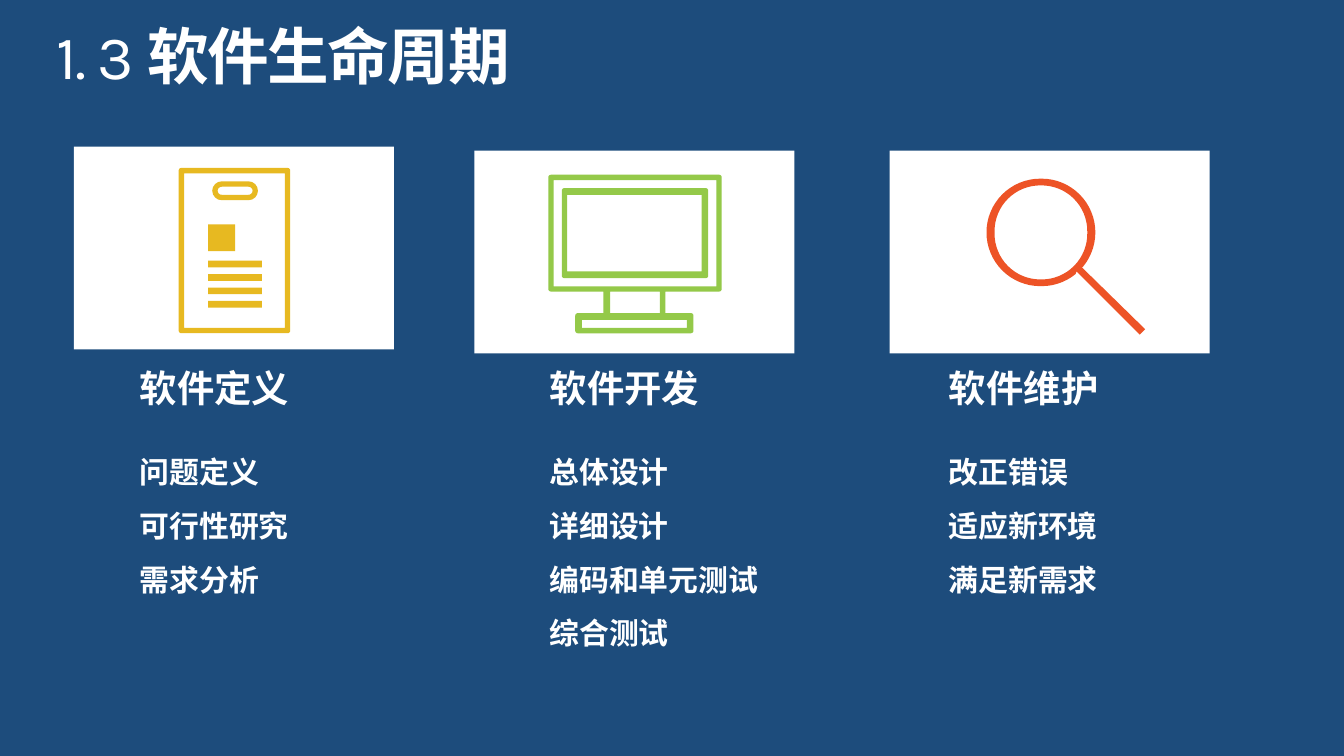
from dataclasses import dataclass
from math import cos, pi, sin

from lxml.etree import SubElement
from pptx import Presentation
from pptx.dml.color import RGBColor
from pptx.enum.shapes import MSO_SHAPE
from pptx.enum.text import MSO_ANCHOR
from pptx.oxml.ns import qn
from pptx.util import Inches, Pt

Contour = list[tuple[float, float]]


@dataclass(frozen=True)
class Theme:
    background: str = "1D4C7C"
    white: str = "FFFFFF"
    yellow: str = "E7B921"
    green: str = "94C949"
    red: str = "ED5326"
    latin: str = "Karla"
    chinese: str = "Noto Sans CJK SC"
    title_size: int = 33
    heading_size: int = 20
    item_size: int = 16


@dataclass(frozen=True)
class Phase:
    heading: str
    items: list[str]
    text_left: float
    text_height: float
    card_left: float
    card_top: float
    color: str
    icon: list[Contour]


THEME = Theme()


# Icon outlines: nested contours cut holes
def rounded(left: float, top: float, right: float, bottom: float,
            radius: float = 0, steps: int = 4) -> Contour:
    """Corners of a box, each one an arc when there is a radius."""
    if not radius:
        return [(left, top), (right, top), (right, bottom), (left, bottom)]
    centers = [(right - radius, bottom - radius), (left + radius, bottom - radius),
               (left + radius, top + radius), (right - radius, top + radius)]
    return [(x + radius * cos(angle), y + radius * sin(angle))
            for corner, (x, y) in enumerate(centers)
            for angle in ((corner + step / steps) * pi / 2 for step in range(steps + 1))]


BADGE = [
    rounded(1.33, 1.25, 2.16, 2.48, 0.02), rounded(1.37, 1.29, 2.12, 2.44),
    rounded(1.58, 1.35, 1.92, 1.49, 0.07), rounded(1.62, 1.39, 1.88, 1.45, 0.03),
    rounded(1.55, 1.67, 1.75, 1.87),
    *[rounded(1.55, 1.94 + 0.1 * row, 1.95, 1.99 + 0.1 * row) for row in range(4)],
]
MONITOR = [
    rounded(4.08, 1.3, 5.37, 2.17, 0.02), rounded(4.12, 1.34, 5.33, 2.13),
    rounded(4.18, 1.4, 5.27, 2.07, 0.02), rounded(4.22, 1.45, 5.22, 2.02),
    rounded(4.49, 2.17, 4.54, 2.33), rounded(4.91, 2.17, 4.95, 2.33),
    rounded(4.28, 2.33, 5.16, 2.48, 0.02), rounded(4.33, 2.38, 5.11, 2.44),
]
# The handle takes the place of the rim's lower right point
RIM = rounded(7.34, 1.33, 8.15, 2.13, 0.4, 16)
HANDLE = [(8.05, 1.99), (8.52, 2.45), (8.48, 2.49), (8.01, 2.02)]
MAGNIFIER = [RIM[:8] + HANDLE + RIM[9:], rounded(7.4, 1.38, 8.09, 2.08, 0.34, 16)]

PHASES = [
    Phase("软件定义", ["问题定义", "可行性研究", "需求分析"],
          0.97, 1.68, 0.55, 1.09, THEME.yellow, BADGE),
    Phase("软件开发", ["总体设计", "详细设计", "编码和单元测试", "综合测试"],
          4.02, 2.08, 3.53, 1.12, THEME.green, MONITOR),
    Phase("软件维护", ["改正错误", "适应新环境", "满足新需求"],
          6.99, 1.68, 6.62, 1.12, THEME.red, MAGNIFIER),
]


def add_span(para, text: str, *, size: int, font: str, bold: bool = False,
             spacing: float = 0) -> None:
    span = para.add_run()
    span.text = text
    span.font.size = Pt(size)
    span.font.bold = bold
    span.font.color.rgb = RGBColor.from_string(THEME.white)
    span.font.name = font
    properties = span.font._element
    SubElement(properties, qn("a:ea")).set("typeface", font)
    if spacing:
        properties.set("spc", str(round(spacing * 100)))


def add_box(page, left: float, top: float, width: float, height: float,
            inset_x: float = 0, inset_y: float = 0):
    box = page.shapes.add_textbox(Inches(left), Inches(top), Inches(width), Inches(height))
    frame = box.text_frame
    frame.word_wrap = True
    frame.margin_left = frame.margin_right = Inches(inset_x)
    frame.margin_top = frame.margin_bottom = Inches(inset_y)
    return frame


def paint(shape, color: str) -> None:
    shape.shadow.inherit = False
    shape.fill.solid()
    shape.fill.fore_color.rgb = RGBColor.from_string(color)
    shape.line.fill.background()


def add_icon(page, contours: list[Contour], color: str) -> None:
    outlines = [[(Inches(x), Inches(y)) for x, y in contour] for contour in contours]
    first, *others = outlines
    builder = page.shapes.build_freeform(*first[0])
    builder.add_line_segments(first[1:], close=True)
    for outline in others:
        builder.move_to(*outline[0])
        builder.add_line_segments(outline[1:], close=True)
    paint(builder.convert_to_shape(), color)


def add_phase(page, phase: Phase) -> None:
    # Card and icon
    card = page.shapes.add_shape(MSO_SHAPE.ROUNDED_RECTANGLE, Inches(phase.card_left),
                                 Inches(phase.card_top), Inches(2.38), Inches(1.51))
    card.adjustments[0] = 0
    paint(card, THEME.white)
    add_icon(page, phase.icon, phase.color)

    # Heading and its steps
    frame = add_box(page, phase.text_left, 2.81, 2.31, phase.text_height, 0.07, 0.04)
    para = frame.paragraphs[0]
    para.line_spacing = Pt(14.2)
    add_span(para, phase.heading, size=THEME.heading_size, font=THEME.chinese, bold=True)
    for index, item in enumerate(phase.items):
        para = frame.add_paragraph()
        para.line_spacing = 1.5
        if index == 0:
            para.space_before = Pt(14.2)
        add_span(para, item, size=THEME.item_size, font=THEME.chinese, bold=True)


def main() -> None:
    deck = Presentation()
    deck.slide_width = Inches(10)
    deck.slide_height = deck.slide_width * 9 // 16
    page = deck.slides.add_slide(deck.slide_layouts[6])
    page.background.fill.solid()
    page.background.fill.fore_color.rgb = RGBColor.from_string(THEME.background)

    # Title
    frame = add_box(page, 0.42, 0.19, 9.17, 0.5)
    frame.vertical_anchor = MSO_ANCHOR.MIDDLE
    para = frame.paragraphs[0]
    para.line_spacing = 0.9
    add_span(para, "1. 3 ", size=THEME.title_size, font=THEME.latin, spacing=-0.8)
    add_span(para, "软件生命周期", size=THEME.title_size, font=THEME.chinese,
             bold=True, spacing=-0.8)

    for phase in PHASES:
        add_phase(page, phase)
    deck.save("out.pptx")


if __name__ == "__main__":
    main()
